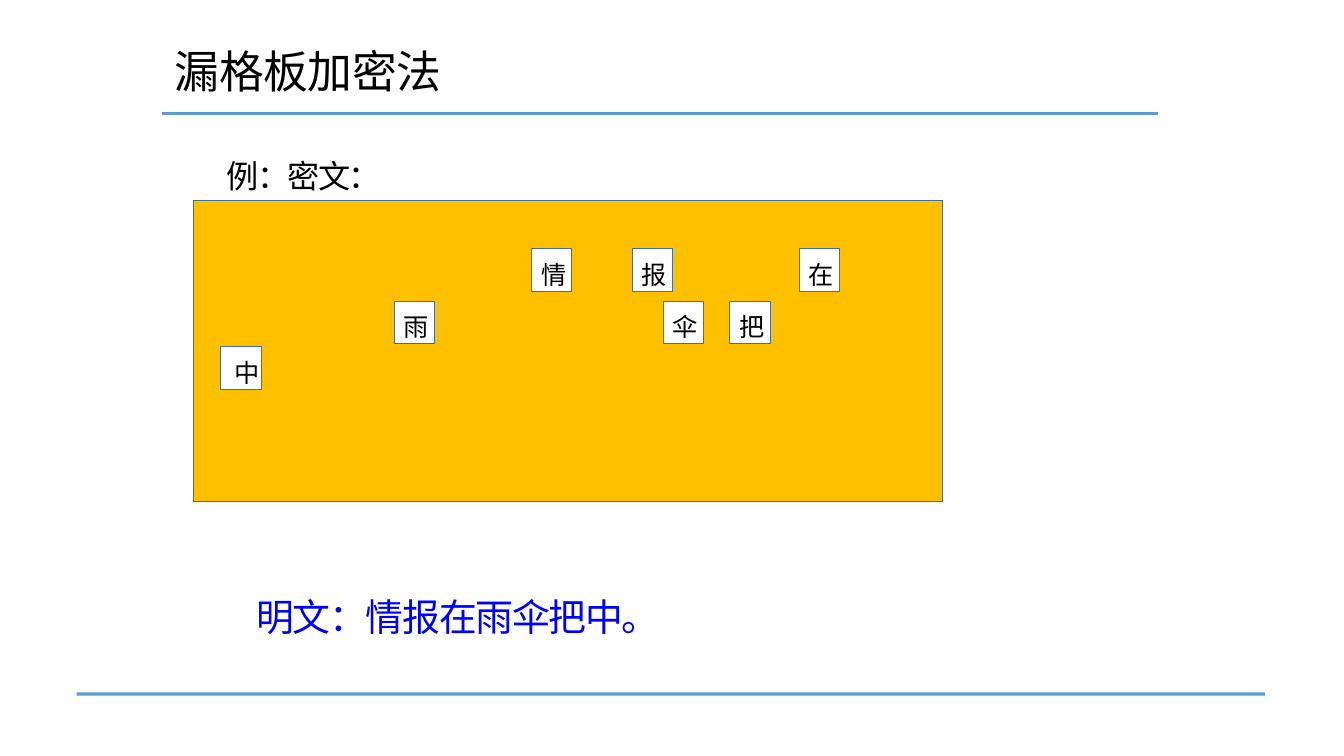
"""Build the slide on the grille cipher."""
from lxml.etree import SubElement
from pptx import Presentation
from pptx.dml.color import RGBColor
from pptx.enum.shapes import MSO_CONNECTOR, MSO_SHAPE
from pptx.enum.text import MSO_ANCHOR, MSO_AUTO_SIZE, PP_ALIGN
from pptx.oxml.ns import qn
from pptx.util import Cm, Pt

FONT = "Noto Sans CJK SC"
PLAIN = "{2D5ABB26-0587-4C30-8999-92F81FD0307C}"
COLORS = {"ink": "000000", "answer": "0000FF", "rule": "5B9BD5",
          "board": "FFC000", "hole": "FFFFFF", "edge": "41719C"}

TITLE = ("漏格板加密法", (4.41, 1.22, 6.8, 1.5), 32, "ink", -0.4, 0.94)
LABELS = [
    ("例：密文：", (5.72, 4.08, 4.24, 1.07), 23, "ink", -1.3, 0.85),
    ("明文：情报在雨伞把中。", (6.46, 15.01, 10.7, 1.35), 27, "answer", -0.9, 0.98),
]
BOARD = (4.88, 5.05)
COLS = [3.38, 3.91, 3, 8.59]
DEPTH = 7.59
HOLES = [
    (6.27, [("情", 13.39, 0.25), ("报", 15.93, 0.24), ("在", 20.14, 0.24)]),
    (7.59, [("雨", 9.93, 0.24), ("伞", 16.71, 0.25), ("把", 18.39, 0.24)]),
    (8.74, [("中", 5.56, 0.34)]),
]
WIDE, HIGH = 1.02, 1


def color(name):
    return RGBColor.from_string(COLORS[name])


def write(frame, text, size, ink, gap, lead):
    para = frame.paragraphs[0]
    para.alignment = PP_ALIGN.LEFT
    para.line_spacing = lead
    run = para.add_run()
    run.text = text
    font = run.font
    font.size, font.name = Pt(size), FONT
    font.color.rgb = color(ink)
    props = run._r.get_or_add_rPr()
    props.set("spc", str(round(gap * 100)))
    SubElement(props, qn("a:ea"), typeface=FONT)


def label(shape, text, box, *style):
    shape.left, shape.top, shape.width, shape.height = map(Cm, box)
    frame = shape.text_frame
    frame.word_wrap = True
    frame.auto_size = MSO_AUTO_SIZE.NONE
    frame.vertical_anchor = MSO_ANCHOR.TOP
    frame.margin_left = frame.margin_right = 0
    frame.margin_top = frame.margin_bottom = 0
    write(frame, text, *style)


def grid(slide, left, top, cols, high, fill):
    frame = slide.shapes.add_table(1, len(cols), Cm(left), Cm(top),
                                   Cm(sum(cols)), Cm(high))
    table = frame.table
    table.first_row = table.horz_banding = False
    table._tbl.tblPr.find(qn("a:tableStyleId")).text = PLAIN
    last = len(cols) - 1
    for i, wide in enumerate(cols):
        table.columns[i].width = Cm(wide)
        cell = table.cell(0, i)
        props = cell._tc.get_or_add_tcPr()
        sides = "L" * (i == 0) + "R" * (i == last) + "TB"
        for side in sides:
            line = SubElement(props, qn(f"a:ln{side}"), w=str(Pt(0.75)))
            paint = SubElement(line, qn("a:solidFill"))
            SubElement(paint, qn("a:srgbClr"), val=COLORS["edge"])
        cell.fill.solid()
        cell.fill.fore_color.rgb = color(fill)
    return table


def rules(slide):
    line = slide.shapes.add_connector(MSO_CONNECTOR.STRAIGHT, Cm(4.07),
                                      Cm(2.87), Cm(29.18), Cm(2.87))
    line.line.color.rgb = color("rule")
    line.line.width = Pt(2.28)
    SubElement(line._element.spPr, qn("a:effectLst"))
    bar = slide.shapes.add_shape(MSO_SHAPE.RECTANGLE, Cm(1.93), Cm(17.45),
                                 Cm(29.95), Cm(0.08))
    bar.shadow.inherit = False
    bar.fill.solid()
    bar.fill.fore_color.rgb = color("rule")
    bar.line.fill.background()


def main():
    deck = Presentation()
    deck.slide_width, deck.slide_height = Cm(33.87), Cm(19.05)
    slide = deck.slides.add_slide(deck.slide_layouts[5])
    label(slide.shapes.title, *TITLE)
    grid(slide, *BOARD, COLS, DEPTH, "board")
    for text, box, *style in LABELS:
        label(slide.shapes.add_textbox(0, 0, 0, 0), text, box, *style)
    rules(slide)
    for top, row in HOLES:
        for char, left, inset in row:
            cell = grid(slide, left, top, [WIDE], HIGH, "hole").cell(0, 0)
            cell.margin_left, cell.margin_top = Cm(inset), Cm(0.2)
            cell.margin_right = cell.margin_bottom = 0
            write(cell.text_frame, char, 18, "ink", -0.1, 0.94)
    deck.save("out.pptx")


if __name__ == "__main__":
    main()
